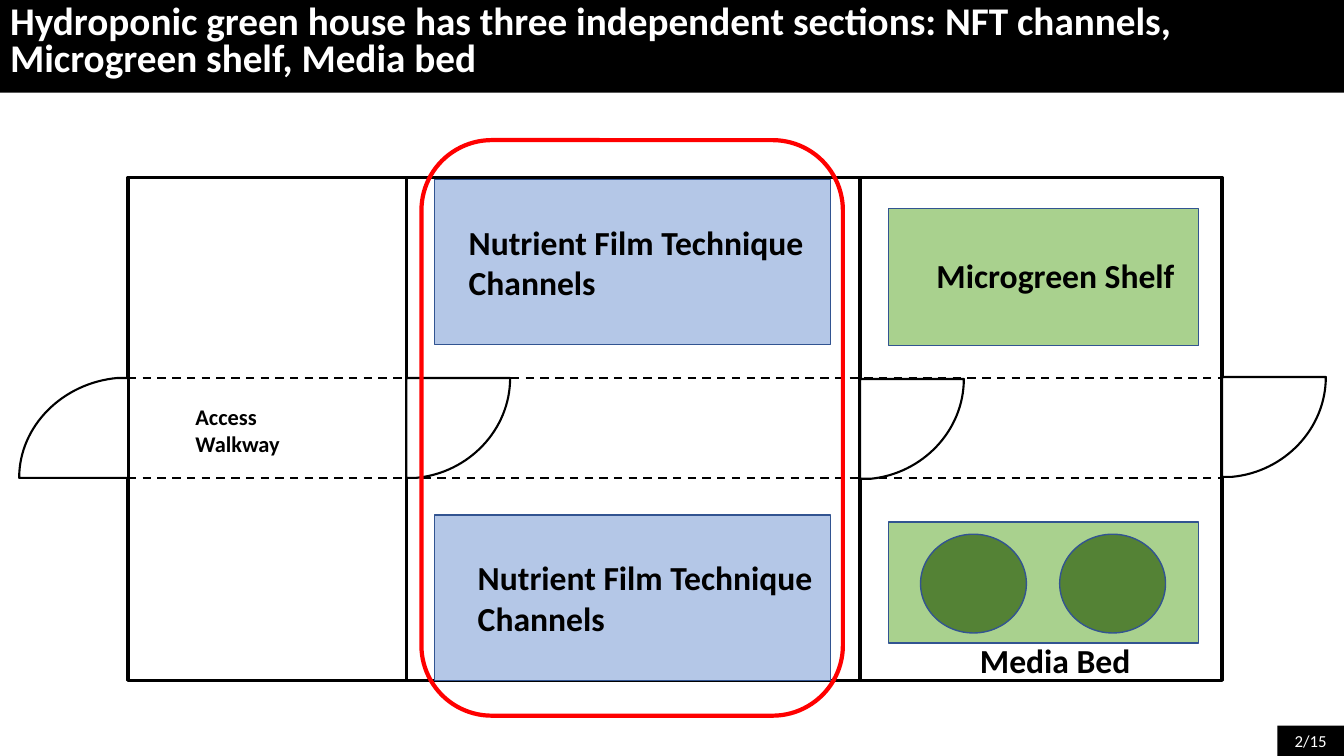
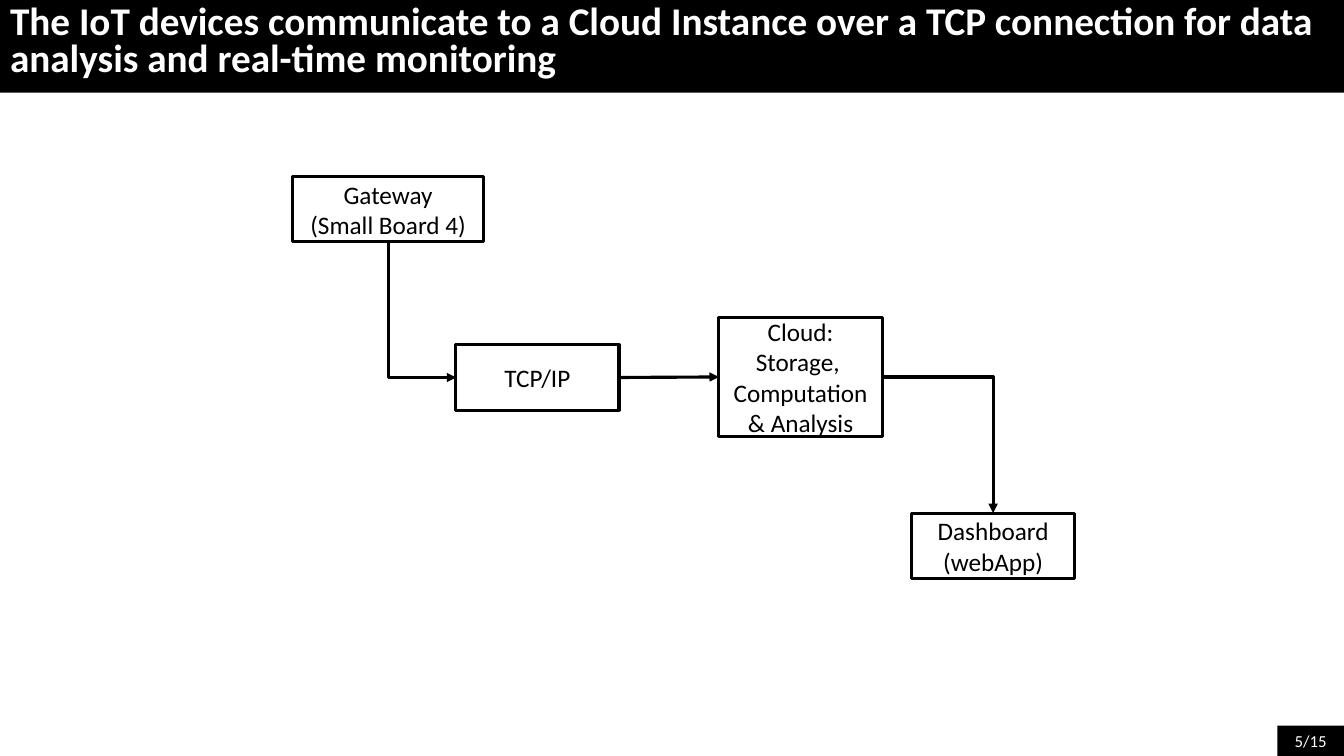
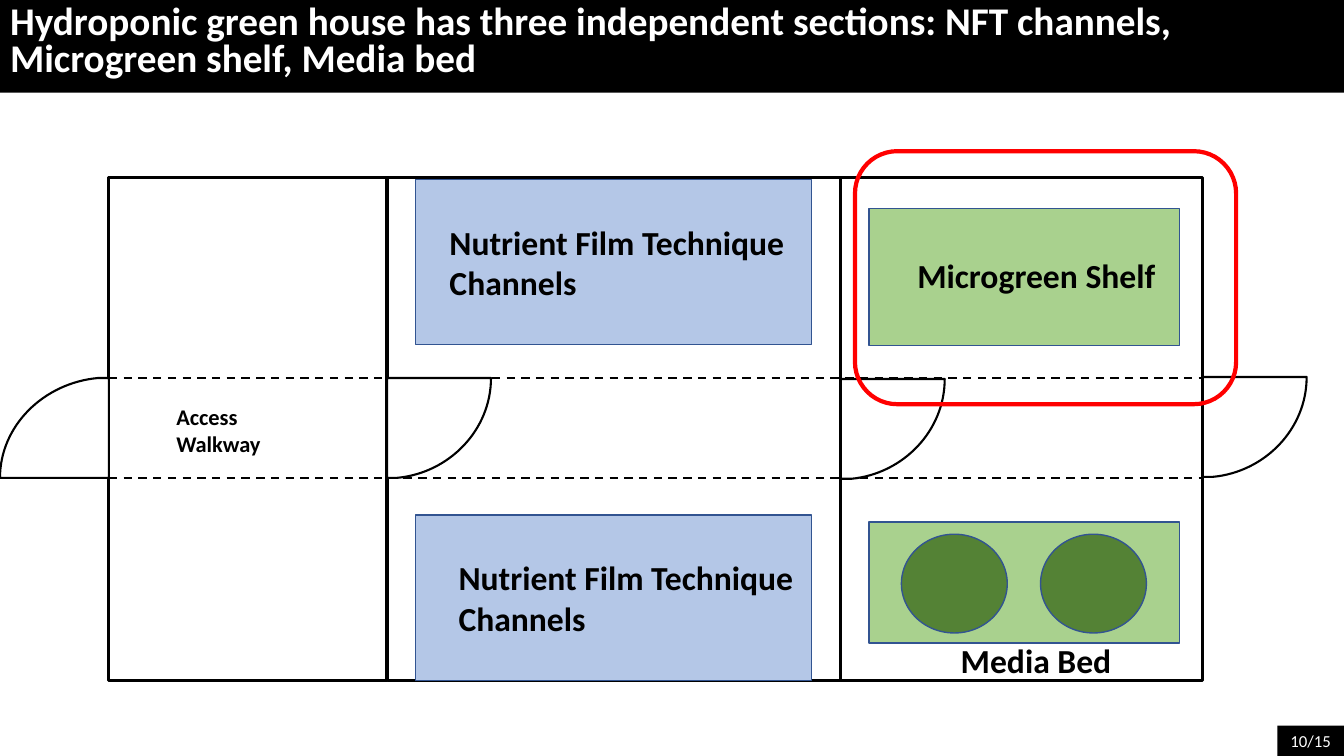
"""Build three slides on a hydroponic green house and its cloud link."""
from dataclasses import dataclass

from lxml.etree import SubElement
from pptx import Presentation
from pptx.dml.color import RGBColor
from pptx.enum.dml import MSO_LINE
from pptx.enum.shapes import MSO_CONNECTOR as CONNECTOR, MSO_SHAPE as SHAPE
from pptx.enum.text import MSO_ANCHOR as ANCHOR, MSO_AUTO_SIZE as AUTO_SIZE, PP_ALIGN as ALIGN
from pptx.oxml.ns import qn
from pptx.util import Pt

PX = 9144


@dataclass(frozen=True)
class Theme:
    font: str = "Calibri"
    black: str = "000000"
    white: str = "FFFFFF"
    red: str = "FF0000"
    channel: str = "B4C7E7"
    shelf: str = "A9D18E"
    plant: str = "548235"
    edge: str = "325491"
    title: int = 28
    label: int = 24
    box: int = 18
    walkway: int = 16
    page: int = 12


THEME = Theme()


def paint(shape, fill=None, line=None, width=1):
    """Set fill and outline and remove the shadow."""
    shape.shadow.inherit = False
    if fill:
        shape.fill.solid()
        shape.fill.fore_color.rgb = RGBColor.from_string(fill)
    else:
        shape.fill.background()
    if line:
        shape.line.color.rgb = RGBColor.from_string(line)
        shape.line.width = Pt(width)
    else:
        shape.line.fill.background()


def write(shape, text, size, color=THEME.black, bold=False, align=ALIGN.LEFT,
          anchor=ANCHOR.TOP, spacing=None):
    """Fill a shape with one paragraph per line of text."""
    frame = shape.text_frame
    frame.text = text
    frame_format = {"word_wrap": True, "auto_size": AUTO_SIZE.NONE, "vertical_anchor": anchor}
    for name, value in frame_format.items():
        setattr(frame, name, value)
    font_format = {"name": THEME.font, "size": Pt(size), "bold": bold}
    for paragraph in frame.paragraphs:
        paragraph.alignment = align
        paragraph.line_spacing = spacing
        font = paragraph.runs[0].font
        for name, value in font_format.items():
            setattr(font, name, value)
        font.color.rgb = RGBColor.from_string(color)


presentation = Presentation()
presentation.slide_width, presentation.slide_height = 1333 * PX, 750 * PX

SECTIONS = ("Hydroponic green house has three independent sections: "
            "NFT channels, Microgreen shelf, Media bed")
CLOUD = ("The IoT devices communicate to a Cloud Instance over a TCP connection "
         "for data analysis and real-time monitoring")

slides = []
for heading, page in [(SECTIONS, "2/15"), (CLOUD, "5/15"), (SECTIONS, "10/15")]:
    slide = presentation.slides.add_slide(presentation.slide_layouts[5])
    title = slide.shapes.title
    band = {"left": 0, "top": 0, "width": 1333, "height": 92}
    for name, value in band.items():
        setattr(title, name, value * PX)
    title.fill.solid()
    title.fill.fore_color.rgb = RGBColor.from_string(THEME.black)
    write(title, heading, THEME.title, THEME.white, bold=True, spacing=0.8)
    page_box = slide.shapes.add_shape(SHAPE.RECTANGLE, 1267 * PX, 720 * PX, 66 * PX, 30 * PX)
    paint(page_box, THEME.black)
    write(page_box, page, THEME.page, THEME.white, align=ALIGN.CENTER, anchor=ANCHOR.MIDDLE)
    slides.append(slide)

HOUSE_LEFT, HOUSE_RIGHT = 127, 1212
ROOMS = [(127, 276), (403, 450), (853, 359)]
WALKWAY_EDGES = [375, 474]
DOORS = [(127, 474, -108, -99), (403, 375, 103, 99), (853, 376, 103, 99), (1212, 374, 103, 99)]
DOOR_OUTLINE = [(1, 0), (1, 0.52), (0.6, 0.95), (0.1, 1), (0, 1), (0, 0)]
BEDS = [
    (SHAPE.RECTANGLE, THEME.channel, (431, 178, 393, 164)),
    (SHAPE.RECTANGLE, THEME.channel, (431, 511, 393, 164)),
    (SHAPE.RECTANGLE, THEME.shelf, (881, 207, 308, 136)),
    (SHAPE.RECTANGLE, THEME.shelf, (881, 518, 308, 120)),
    (SHAPE.OVAL, THEME.plant, (913, 530, 105, 98)),
    (SHAPE.OVAL, THEME.plant, (1051, 530, 105, 98)),
]
LABELS = [
    ("Nutrient Film Technique Channels", THEME.label, (455, 215, 360, 91)),
    ("Nutrient Film Technique Channels", THEME.label, (464, 548, 360, 91)),
    ("Access Walkway", THEME.walkway, (184, 395, 168, 64)),
    ("Microgreen Shelf", THEME.label, (919, 248, 264, 50)),
    ("Media Bed", THEME.label, (962, 630, 182, 50)),
]

for slide, shift, highlight in [(slides[0], 0, (418, 139, 418, 571)),
                                (slides[2], -19, (848, 150, 378, 251))]:
    shapes = slide.shapes
    for left, width in ROOMS:
        room = shapes.add_shape(SHAPE.RECTANGLE, (left + shift) * PX, 176 * PX,
                                width * PX, 499 * PX)
        paint(room, THEME.white, THEME.black, 2.25)

    for y in WALKWAY_EDGES:
        edge = shapes.add_connector(CONNECTOR.STRAIGHT, (HOUSE_LEFT + shift) * PX, y * PX,
                                    (HOUSE_RIGHT + shift) * PX, y * PX)
        edge.line.color.rgb = RGBColor.from_string(THEME.black)
        edge.line.width = Pt(1.5)
        edge.line.dash_style = MSO_LINE.DASH
        SubElement(edge._element.spPr, qn("a:effectLst"))

    for x, y, reach_x, reach_y in DOORS:
        start, *curve, foot, hinge = [(round((x + shift + reach_x * across) * PX),
                                       round((y + reach_y * down) * PX))
                                      for across, down in DOOR_OUTLINE]
        builder = shapes.build_freeform(*start)
        builder.add_line_segments([curve[-1], foot, hinge], close=True)
        door = builder.convert_to_shape()
        segment = next(door._element.iter(qn("a:lnTo")))
        segment.clear()
        bezier = SubElement(segment.getparent(), qn("a:cubicBezTo"))
        segment.getparent().replace(segment, bezier)
        for point_x, point_y in curve:
            SubElement(bezier, qn("a:pt"), x=str(point_x - door.left), y=str(point_y - door.top))
        paint(door, THEME.white, THEME.black, 1.5)

    for kind, fill, (left, top, width, height) in BEDS:
        bed = shapes.add_shape(kind, (left + shift) * PX, top * PX, width * PX, height * PX)
        paint(bed, fill, THEME.edge)

    for text, size, (left, top, width, height) in LABELS:
        label = shapes.add_textbox((left + shift) * PX, top * PX, width * PX, height * PX)
        write(label, text, size, bold=True)

    frame = shapes.add_shape(SHAPE.ROUNDED_RECTANGLE, *[value * PX for value in highlight])
    paint(frame, line=THEME.red, width=3)

STAGES = {
    "gateway": ("Gateway\n(Small Board 4)", (290, 175, 190, 65)),
    "tcp": ("TCP/IP", (452, 342, 162, 65)),
    "cloud": ("Cloud:\nStorage, \nComputation & Analysis", (713, 315, 162, 118)),
    "dashboard": ("Dashboard\n(webApp)", (904, 509, 162, 65)),
}
TOP, LEFT, BOTTOM, RIGHT = range(4)
LINKS = [
    ("gateway", BOTTOM, "tcp", LEFT, CONNECTOR.ELBOW),
    ("tcp", RIGHT, "cloud", LEFT, CONNECTOR.STRAIGHT),
    ("cloud", RIGHT, "dashboard", TOP, CONNECTOR.ELBOW),
]

shapes = slides[1].shapes
boxes = {}
for stage, (text, place) in STAGES.items():
    box = shapes.add_shape(SHAPE.RECTANGLE, *[value * PX for value in place])
    paint(box, line=THEME.black, width=2.25)
    write(box, text, THEME.box, align=ALIGN.CENTER, anchor=ANCHOR.MIDDLE)
    boxes[stage] = box

for source, source_side, target, target_side, kind in LINKS:
    arrow = shapes.add_connector(kind, 0, 0, 0, 0)
    arrow.begin_connect(boxes[source], source_side)
    arrow.end_connect(boxes[target], target_side)
    arrow.line.color.rgb = RGBColor.from_string(THEME.black)
    arrow.line.width = Pt(2.25)
    properties = arrow._element.spPr
    SubElement(properties.find(qn("a:ln")), qn("a:tailEnd"), type="triangle")
    SubElement(properties, qn("a:effectLst"))
    if kind == CONNECTOR.ELBOW:
        properties.find(qn("a:prstGeom")).set("prst", "bentConnector2")
    if source_side == BOTTOM:
        turned = {"left": 352, "top": 274, "width": 134, "height": 67}
        for name, value in turned.items():
            setattr(arrow, name, value * PX)
        transform = properties.find(qn("a:xfrm"))
        transform.set("rot", "16200000")
        transform.set("flipH", "1")

presentation.save("out.pptx")
